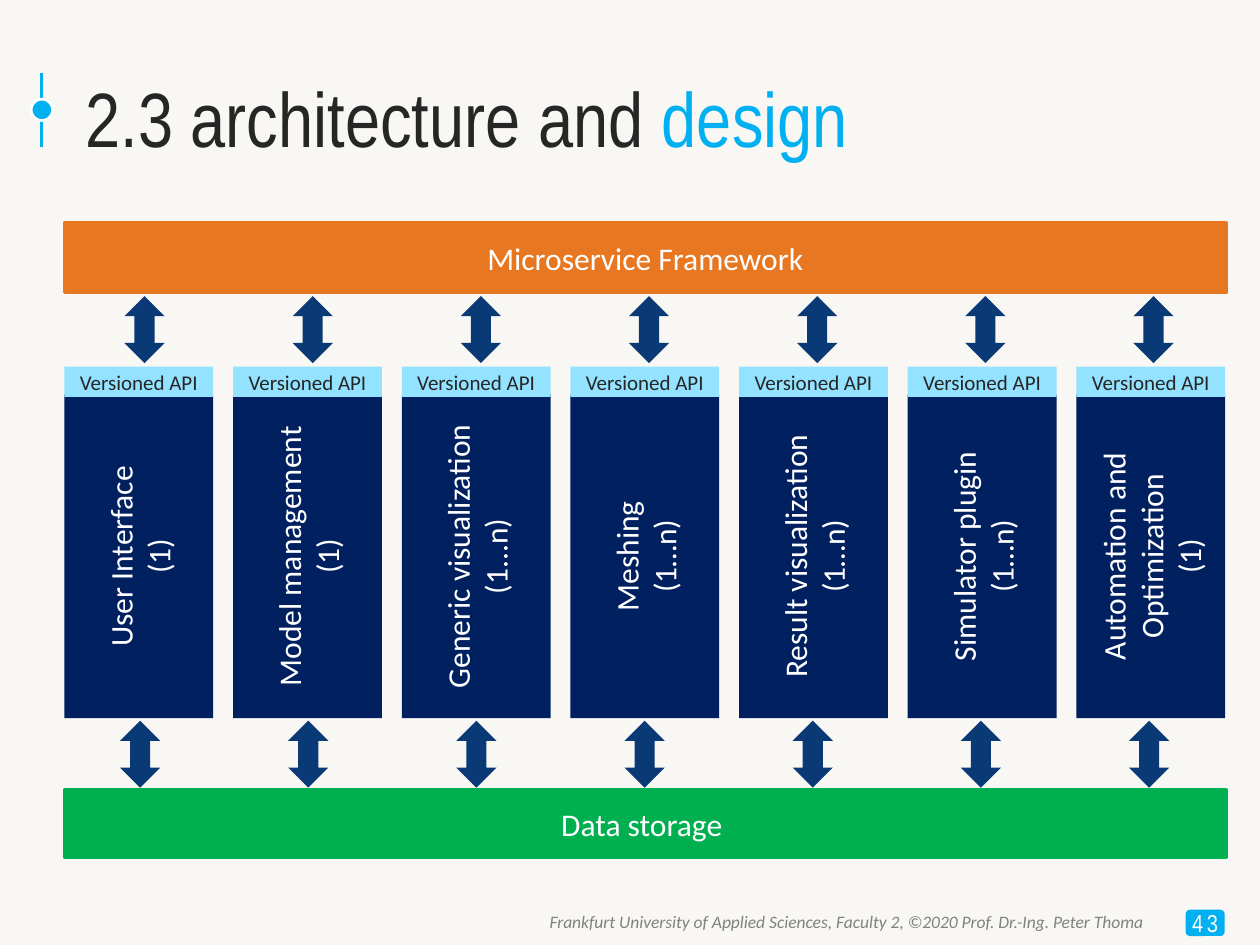
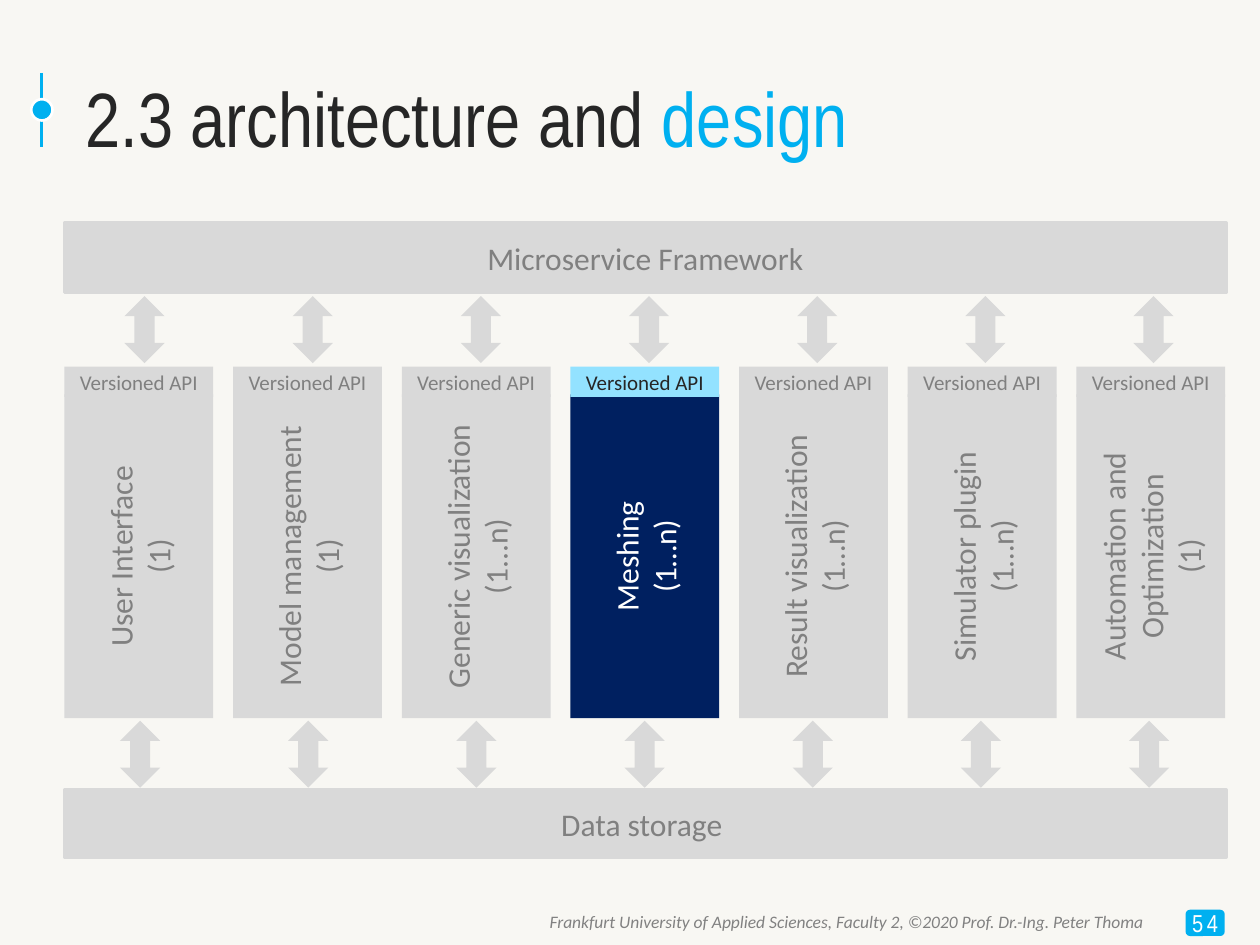
"""Build two slides of a microservice architecture, the second one highlighting the meshing service."""
from lxml import etree
from pptx import Presentation
from pptx import util as u
from pptx.dml.color import RGBColor
from pptx.enum import shapes, text
from pptx.oxml import ns

PAPER = RGBColor(0xF8, 0xF7, 0xF3)
WHITE = RGBColor(0xFF, 0xFF, 0xFF)
INK = RGBColor(0x26, 0x26, 0x26)
ACCENT = RGBColor(0x00, 0xB0, 0xF0)
NAVY = RGBColor(0x00, 0x20, 0x60)
ARROW_BLUE = RGBColor(0x09, 0x3A, 0x75)
SKY = RGBColor(0x93, 0xE2, 0xFF)
ORANGE = RGBColor(0xE8, 0x77, 0x22)
GREEN = RGBColor(0x00, 0xB0, 0x50)
MUTED = RGBColor(0xD9, 0xD9, 0xD9)
MUTED_TEXT = RGBColor(0x80, 0x80, 0x80)
FOOTER_GREY = RGBColor(0x81, 0x81, 0x81)

SERVICES = [
    ("User Interface", "(1)"),
    ("Model management", "(1)"),
    ("Generic visualization", "(1...n)"),
    ("Meshing", "(1…n)"),
    ("Result visualization", "(1…n)"),
    ("Simulator plugin", "(1…n)"),
    ("Automation and Optimization", "(1)"),
]
PAGES = [("43", None), ("54", "Meshing")]
LEFT, PITCH, SERVICE_WIDTH, BAND_WIDTH = 1.3, 3.4, 3, 23.42
ARROW_PITCH = 3.39


def write(paragraph, words, size=18, color=WHITE, font="Calibri", italic=False,
          align=text.PP_ALIGN.CENTER, spacing=None):
    """Append a formatted run to a paragraph."""
    paragraph.alignment = align
    run = paragraph.add_run()
    run.text = words
    run.font.size = u.Pt(size)
    run.font.name = font
    run.font.italic = italic
    run.font.color.rgb = color
    if spacing:
        run.font._element.set("spc", str(spacing * 100))


def block(slide, preset, left, top, width, height, fill, outline=None, weight=2):
    """Add a flat filled shape, measured in centimetres, and return it."""
    shape = slide.shapes.add_shape(preset, u.Cm(left), u.Cm(top), u.Cm(width), u.Cm(height))
    shape.shadow.inherit = False
    shape.fill.solid()
    shape.fill.fore_color.rgb = fill
    if outline is None:
        shape.line.fill.background()
    else:
        shape.line.color.rgb = outline
        shape.line.width = u.Pt(weight)
    shape.text_frame.vertical_anchor = text.MSO_ANCHOR.MIDDLE
    return shape


deck = Presentation()
deck.slide_width, deck.slide_height = u.Cm(25.4), u.Cm(19.05)
deck.slide_master.background.fill.solid()
deck.slide_master.background.fill.fore_color.rgb = PAPER
kind = shapes.MSO_SHAPE

for number, focus in PAGES:
    slide = deck.slides.add_slide(deck.slide_layouts[5])

    stem = slide.shapes.add_connector(shapes.MSO_CONNECTOR.STRAIGHT,
                                      u.Cm(0.84), u.Cm(1.47), u.Cm(0.84), u.Cm(2.97))
    stem.line.color.rgb = ACCENT
    stem.line.width = u.Pt(1.5)
    etree.SubElement(stem._element.spPr, ns.qn("a:effectLst"))
    block(slide, kind.OVAL, 0.63, 2.0, 0.43, 0.43, ACCENT, WHITE, 1.5)

    credit = slide.shapes.add_textbox(u.Cm(3.1), u.Cm(18.24), u.Cm(20.19), u.Cm(0.69))
    credit.text_frame.word_wrap = True
    write(credit.text_frame.paragraphs[0],
          "Frankfurt University of Applied Sciences, Faculty 2, ©2020 Prof. Dr.-Ing. Peter Thoma",
          size=10, color=FOOTER_GREY, italic=True, align=text.PP_ALIGN.RIGHT)

    badge = block(slide, kind.ROUNDED_RECTANGLE, 23.9, 18.34, 0.79, 0.53, ACCENT).text_frame
    badge.margin_left = badge.margin_right = 0
    badge.word_wrap = False
    write(badge.paragraphs[0], number, size=14, font="Arial Narrow", spacing=2)

    title = slide.shapes.title
    title.left, title.top, title.width, title.height = u.Cm(1.47), u.Cm(0.76), u.Cm(22.66), u.Cm(3.18)
    title.text_frame.auto_size = text.MSO_AUTO_SIZE.NONE
    title.text_frame.vertical_anchor = text.MSO_ANCHOR.MIDDLE
    for words, color in [("2.3 architecture and ", INK), ("design", ACCENT)]:
        write(title.text_frame.paragraphs[0], words, size=44, color=color,
              font="Arial Narrow", align=text.PP_ALIGN.LEFT)

    for words, top, height, color in [("Microservice Framework", 4.5, 1.4, ORANGE),
                                      ("Data storage ", 15.93, 1.35, GREEN)]:
        fill = MUTED if focus else color
        band = block(slide, kind.RECTANGLE, LEFT, top, BAND_WIDTH, height, fill, fill)
        write(band.text_frame.paragraphs[0], words, color=MUTED_TEXT if focus else WHITE)

    for index, (name, instances) in enumerate(SERVICES):
        active = focus in (None, name)
        left = LEFT + index * PITCH

        service = block(slide, kind.RECTANGLE, left, 7.95, SERVICE_WIDTH, 6.53,
                        NAVY if active else MUTED).text_frame
        service._txBody.bodyPr.set("vert", "vert270")
        for paragraph, words in [(service.paragraphs[0], name), (service.add_paragraph(), instances)]:
            write(paragraph, words, color=WHITE if active else MUTED_TEXT)

        api = block(slide, kind.RECTANGLE, left, 7.39, SERVICE_WIDTH, 0.61, SKY if active else MUTED)
        write(api.text_frame.paragraphs[0], "Versioned API", size=12,
              color=INK if active else MUTED_TEXT)

        for start, top in [(2.51, 5.97), (2.42, 14.53)]:
            block(slide, kind.UP_DOWN_ARROW, start + index * ARROW_PITCH, top, 0.81, 1.35,
                  MUTED if focus else ARROW_BLUE)

deck.save("out.pptx")
